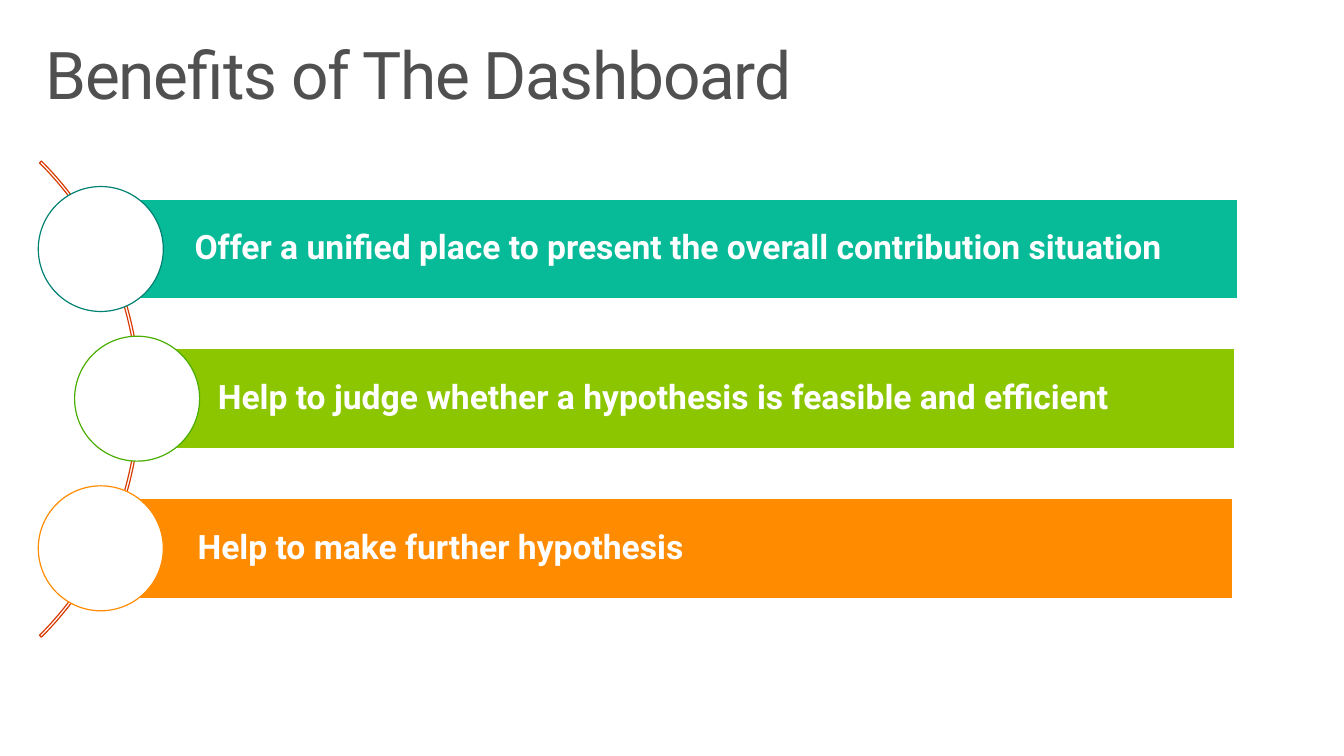
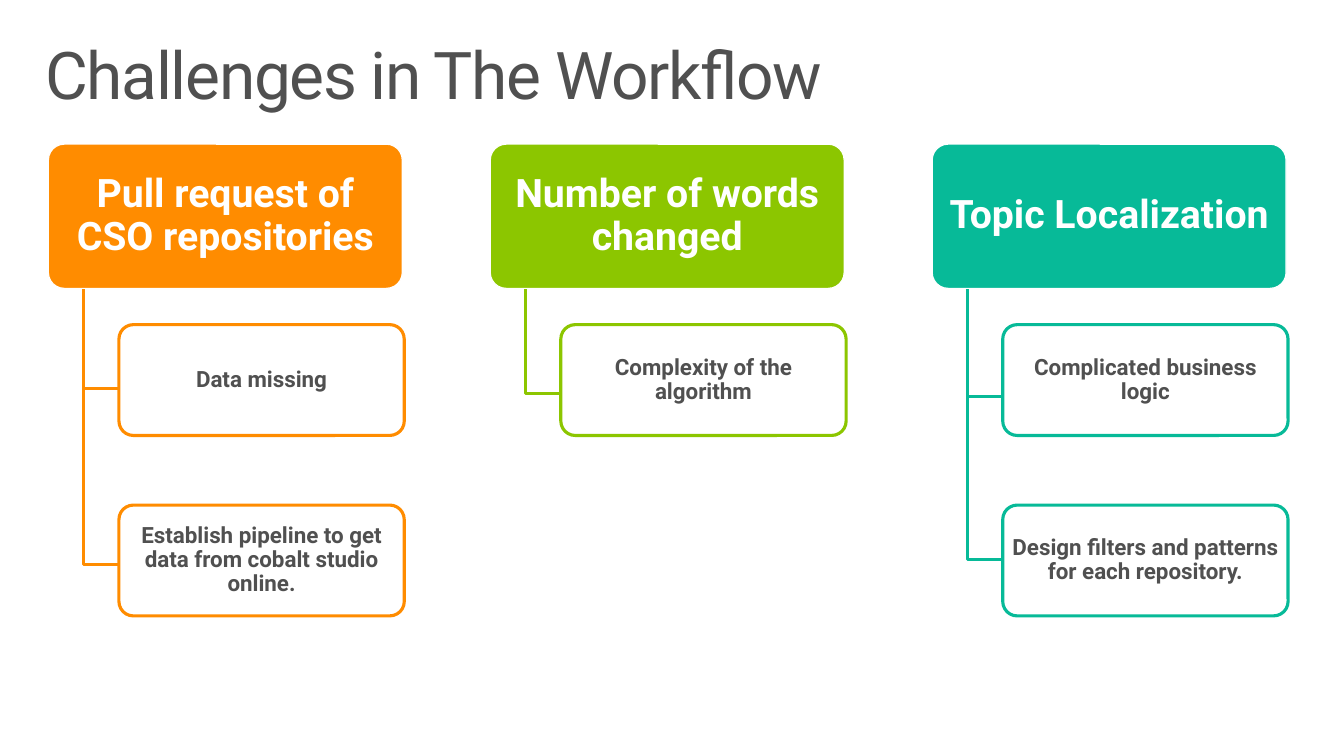
from dataclasses import dataclass

from pptx import Presentation
from pptx import util as u
from pptx.dml.color import RGBColor
from pptx.enum import shapes, text

W, H = 13.33, 7.5
FONT = "Roboto"
WHITE = RGBColor(0xFF, 0xFF, 0xFF)
GRAY = RGBColor(0x50, 0x50, 0x50)
TEAL = RGBColor(0x07, 0xBA, 0x98)
DARK_TEAL = RGBColor(0x00, 0x82, 0x72)
LIME = RGBColor(0x8C, 0xC6, 0x00)
GREEN = RGBColor(0x4A, 0xAD, 0x00)
ORANGE = RGBColor(0xFF, 0x8C, 0x00)
RED = RGBColor(0xD8, 0x3B, 0x01)
THIN, THICK = 0.85, 2.25

BENEFITS = [
    ("Offer a unified place to present the overall contribution situation",
     TEAL, DARK_TEAL, 0, 6.39, 93.61),
    ("Help to judge whether a hypothesis is feasible and efficient",
     LIME, GREEN, 3.03, 8.33, 91.5),
    ("Help to make further hypothesis", ORANGE, ORANGE, 0, 6.64, 93.02),
]
CHALLENGES = [
    ("Pull request of CSO repositories", ORANGE,
     [("Data missing", 51.71),
      ("Establish pipeline to get data from cobalt studio online.", 89.1)]),
    ("Number of words changed", LIME,
     [("Complexity of the algorithm", 52.78)]),
    ("Topic Localization", TEAL,
     [("Complicated business logic", 53.42),
      ("Design filters and patterns for each repository.", 88.03)]),
]


@dataclass
class Box:
    """A rectangle in inches whose parts are given as percentages of it."""
    x: float
    y: float
    w: float
    h: float

    def sub(self, x, y, w, h):
        """Return the part of this box at the given percentages."""
        return Box(self.x + self.w * x / 100, self.y + self.h * y / 100,
                   self.w * w / 100, self.h * h / 100)

    def emu(self):
        """Return left, top, width and height as lengths."""
        return [u.Inches(v) for v in (self.x, self.y, self.w, self.h)]


SLIDE = Box(0, 0, W, H)


def set_text(sp, words, size, color, bold=True, align=text.PP_ALIGN.CENTER,
             anchor=text.MSO_ANCHOR.MIDDLE, insets=(0.07, 0.07, 0.07, 0.07)):
    """Write one formatted paragraph into a shape."""
    tf = sp.text_frame
    frame = dict(zip(("margin_left", "margin_top", "margin_right", "margin_bottom"),
                     map(u.Inches, insets)))
    frame.update(word_wrap=True, auto_size=text.MSO_AUTO_SIZE.NONE,
                 vertical_anchor=anchor)
    p = tf.paragraphs[0]
    r = p.add_run()
    r.text = words
    formats = [(tf, frame), (p, dict(alignment=align, line_spacing=0.9)),
               (r.font, dict(name=FONT, size=u.Pt(size), bold=bold))]
    for target, values in formats:
        for name, value in values.items():
            setattr(target, name, value)
    r.font.color.rgb = color
    return r


def style(sp, fill, line, width):
    """Set the fill and outline of a shape and drop its shadow."""
    sp.shadow.inherit = False
    if fill is None:
        sp.fill.background()
    else:
        sp.fill.solid()
        sp.fill.fore_color.rgb = fill
    sp.line.color.rgb = line
    sp.line.width = u.Pt(width)


def add_shape(s, kind, box, fill, line, width=THIN, adj=()):
    """Add a styled preset shape in a box."""
    sp = s.shapes.add_shape(kind, *box.emu())
    for i, value in enumerate(adj):
        sp.adjustments[i] = value
    style(sp, fill, line, width)
    return sp


def add_titled_slide(prs, title):
    """Add a title-only slide with the shared title style."""
    s = prs.slides.add_slide(prs.slide_layouts[5])
    sp = s.shapes.title
    sp.left, sp.top, sp.width, sp.height = SLIDE.sub(2.18, 4.27, 95.57, 13.07).emu()
    r = set_text(sp, title, 47, GRAY, False, text.PP_ALIGN.LEFT,
                 text.MSO_ANCHOR.TOP, (0.16, 0.1, 0.16, 0.1))
    r.font._element.set("spc", "-100")
    return s


def add_benefit_list(s, box):
    """Draw bars with circles strung along an arc."""
    kinds = shapes.MSO_SHAPE
    add_shape(s, kinds.BLOCK_ARC, box.sub(-47.69, -29.22, 56.18, 158.67),
              None, RED, adj=(189, 27, 0.004))
    for i, (words, fill, ring, circle_x, bar_x, bar_w) in enumerate(BENEFITS):
        y = 35.27 * i
        bar = add_shape(s, kinds.RECTANGLE, box.sub(bar_x, y + 2.97, bar_w, 23.52),
                        fill, WHITE)
        set_text(bar, words, 24, WHITE, align=text.PP_ALIGN.LEFT,
                 insets=(0.79, 0.07, 0.07, 0.07))
        add_shape(s, kinds.OVAL, box.sub(circle_x, y, 10.43, 29.45), WHITE, ring)


def add_elbow(s, box, y, color):
    """Draw an open bent line from the header down to a child."""
    points = [box.sub(px, py, 0, 0).emu()[:2]
              for px, py in ((9.92, 30.56), (9.92, y), (19.55, y))]
    fb = s.shapes.build_freeform(*points[0])
    fb.add_line_segments(points[1:], close=False)
    style(fb.convert_to_shape(), None, color, THICK)


def add_challenge_column(s, box, header, color, children):
    """Draw a header with its children hanging below."""
    kind = shapes.MSO_SHAPE.ROUNDED_RECTANGLE
    for _, y in children:
        add_elbow(s, box, y, color)
    sp = add_shape(s, kind, box.sub(0, 0, 99.43, 30.56), color, WHITE, adj=(0.11,))
    set_text(sp, header, 28, WHITE, insets=(0.07, 0.09, 0.07, 0.09))
    for i, (words, _) in enumerate(children):
        sp = add_shape(s, kind, box.sub(19.83, 38.25 * (i + 1), 80.17, 23.5),
                       WHITE, color, THICK, (0.13,))
        set_text(sp, words, 16, GRAY, insets=(0.03, 0.03, 0.03, 0.03))


def main():
    """Build and save the two slides."""
    prs = Presentation()
    prs.slide_width, prs.slide_height = u.Inches(W), u.Inches(H)
    s = add_titled_slide(prs, "Benefits of The Dashboard")
    add_benefit_list(s, SLIDE.sub(2.85, 24.67, 89.2, 56.13))
    s = add_titled_slide(prs, "Challenges in The Workflow")
    for i, challenge in enumerate(CHALLENGES):
        add_challenge_column(s, SLIDE.sub(3.6 + 32.88 * i, 19.07, 26.48, 62.4),
                             *challenge)
    prs.save("out.pptx")


if __name__ == "__main__":
    main()
